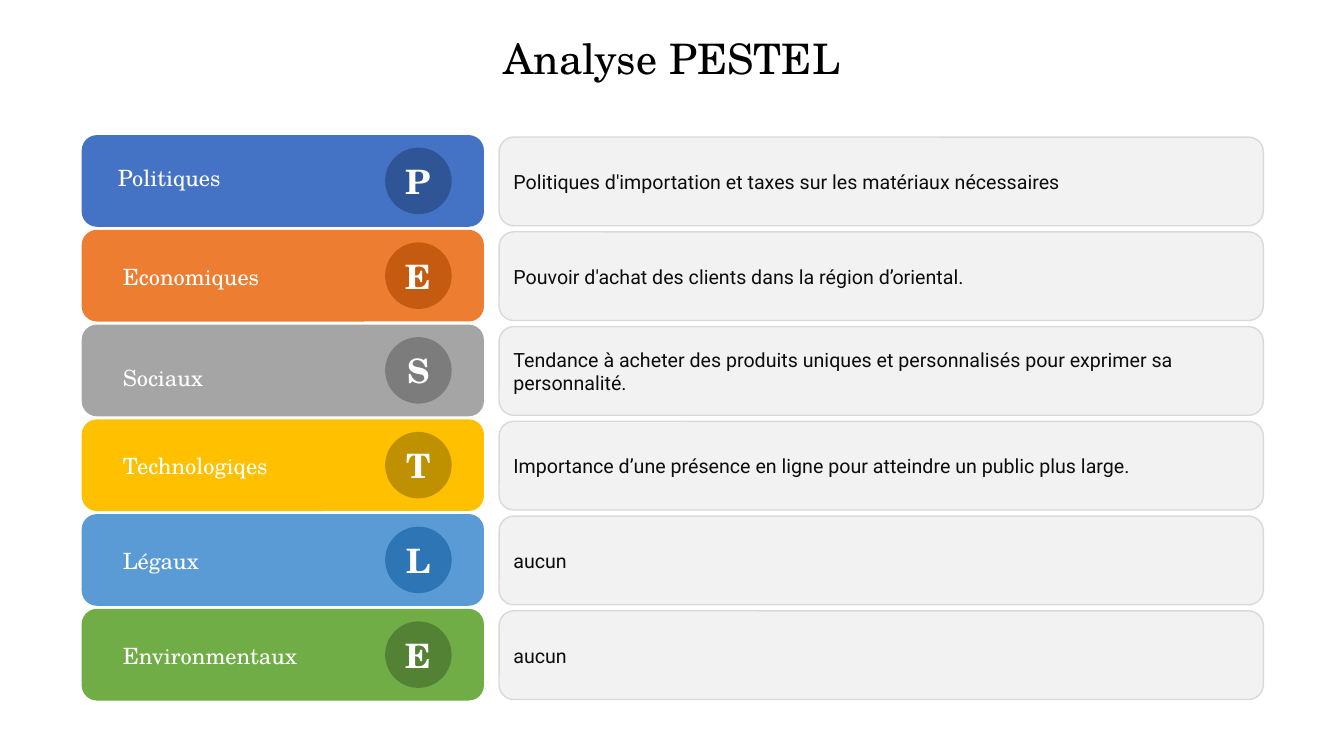
from pptx import Presentation, util as u
from pptx.dml.color import RGBColor
from pptx.enum import shapes, text

SERIF, SANS = "TeX Gyre Schola", "Roboto"
WIDTH, HEIGHT = 13.33, 7.5
ROWS_TOP, ROW_PITCH, ROW_HEIGHT = 1.34, 0.94, 0.91
LABEL_LEFT, LABEL_WIDTH = 0.81, 3.99
CARD_LEFT, CARD_WIDTH = 4.95, 7.58
BADGE_SIZE = 0.66

# letter, factor, offset of the factor in its row, row colour, badge colour, finding
FACTORS = [
    ("P", "Politiques", (0.26, 0.24), "4472C4", "2F5597",
     "Politiques d'importation et taxes sur les matériaux nécessaires"),
    ("E", "Economiques", (0.31, 0.28), "ED7D31", "C55A11",
     "Pouvoir d'achat des clients dans la région d’oriental."),
    ("S", "Sociaux", (0.31, 0.34), "A5A5A5", "7C7C7C",
     "Tendance à acheter des produits uniques et personnalisés pour exprimer sa personnalité."),
    ("T", "Technologiqes", (0.31, 0.28), "FFC000", "BF9000",
     "Importance d’une présence en ligne pour atteindre un public plus large."),
    ("L", "Légaux", (0.31, 0.28), "5B9BD5", "2E75B6", "aucun"),
    ("E", "Environmentaux", (0.31, 0.28), "70AD47", "548235", "aucun"),
]


def color(value):
    return RGBColor.from_string(value)


def write(shape, words, size, font, ink, align=text.PP_ALIGN.LEFT, bold=False):
    shape.text_frame.word_wrap = True
    paragraph = shape.text_frame.paragraphs[0]
    paragraph.text = words
    paragraph.alignment = align
    paragraph.font.size = u.Pt(size)
    paragraph.font.name = font
    paragraph.font.bold = bold
    paragraph.font.color.rgb = color(ink)


def add_text(slide, box, *style):
    shape = slide.shapes.add_textbox(*map(u.Inches, box))
    write(shape, *style)
    shape.text_frame.auto_size = text.MSO_AUTO_SIZE.SHAPE_TO_FIT_TEXT


def add_filled(slide, kind, box, fill, line=None):
    shape = slide.shapes.add_shape(kind, *map(u.Inches, box))
    shape.shadow.inherit = False
    shape.fill.solid()
    shape.fill.fore_color.rgb = color(fill)
    if line:
        shape.line.color.rgb = color(line)
        shape.line.width = u.Pt(1)
    else:
        shape.line.fill.background()
    shape.text_frame.vertical_anchor = text.MSO_ANCHOR.MIDDLE
    return shape


def add_label(slide, box, letter, factor, offset, fill, badge_fill):
    left, top, width, height = box
    add_filled(slide, shapes.MSO_SHAPE.ROUNDED_RECTANGLE, box, fill)
    add_text(slide, (left + offset[0], top + offset[1], 2.23, 0.37),
             factor, 16, SERIF, "FFFFFF")
    # Round badge near the right end
    badge_box = (left + width - BADGE_SIZE - 0.32, top + (height - BADGE_SIZE) / 2,
                 BADGE_SIZE, BADGE_SIZE)
    badge = add_filled(slide, shapes.MSO_SHAPE.OVAL, badge_box, badge_fill)
    write(badge, letter, 24, SERIF, "FFFFFF", text.PP_ALIGN.CENTER, True)


def add_card(slide, box, finding):
    card = add_filled(slide, shapes.MSO_SHAPE.ROUNDED_RECTANGLE, box, "F2F2F2", "D9D9D9")
    write(card, finding, 14, SANS, "0D0D0D")


def main():
    presentation = Presentation()
    presentation.slide_width = u.Inches(WIDTH)
    presentation.slide_height = u.Inches(HEIGHT)
    slide = presentation.slides.add_slide(presentation.slide_layouts[6])

    # Rows: label on the left, finding on the right
    for row, (letter, factor, offset, fill, badge_fill, finding) in enumerate(FACTORS):
        top = ROWS_TOP + row * ROW_PITCH
        add_label(slide, (LABEL_LEFT, top, LABEL_WIDTH, ROW_HEIGHT),
                  letter, factor, offset, fill, badge_fill)
        add_card(slide, (CARD_LEFT, top + 0.02, CARD_WIDTH, ROW_HEIGHT - 0.03), finding)

    # Title
    add_text(slide, (0, 0.27, WIDTH, 0.61), "Analyse PESTEL", 30, SERIF, "000000",
             text.PP_ALIGN.CENTER)
    presentation.save("out.pptx")


if __name__ == "__main__":
    main()
